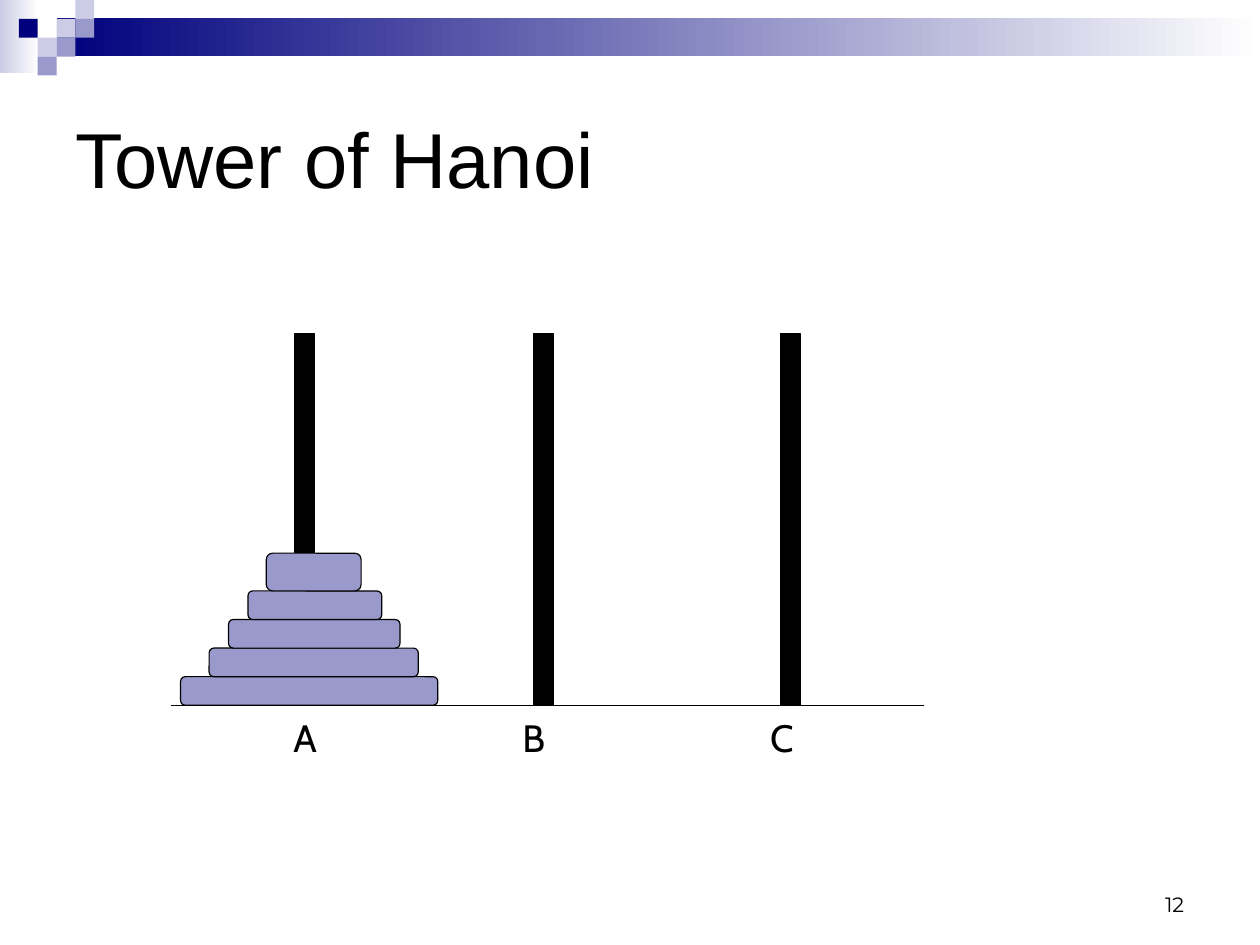
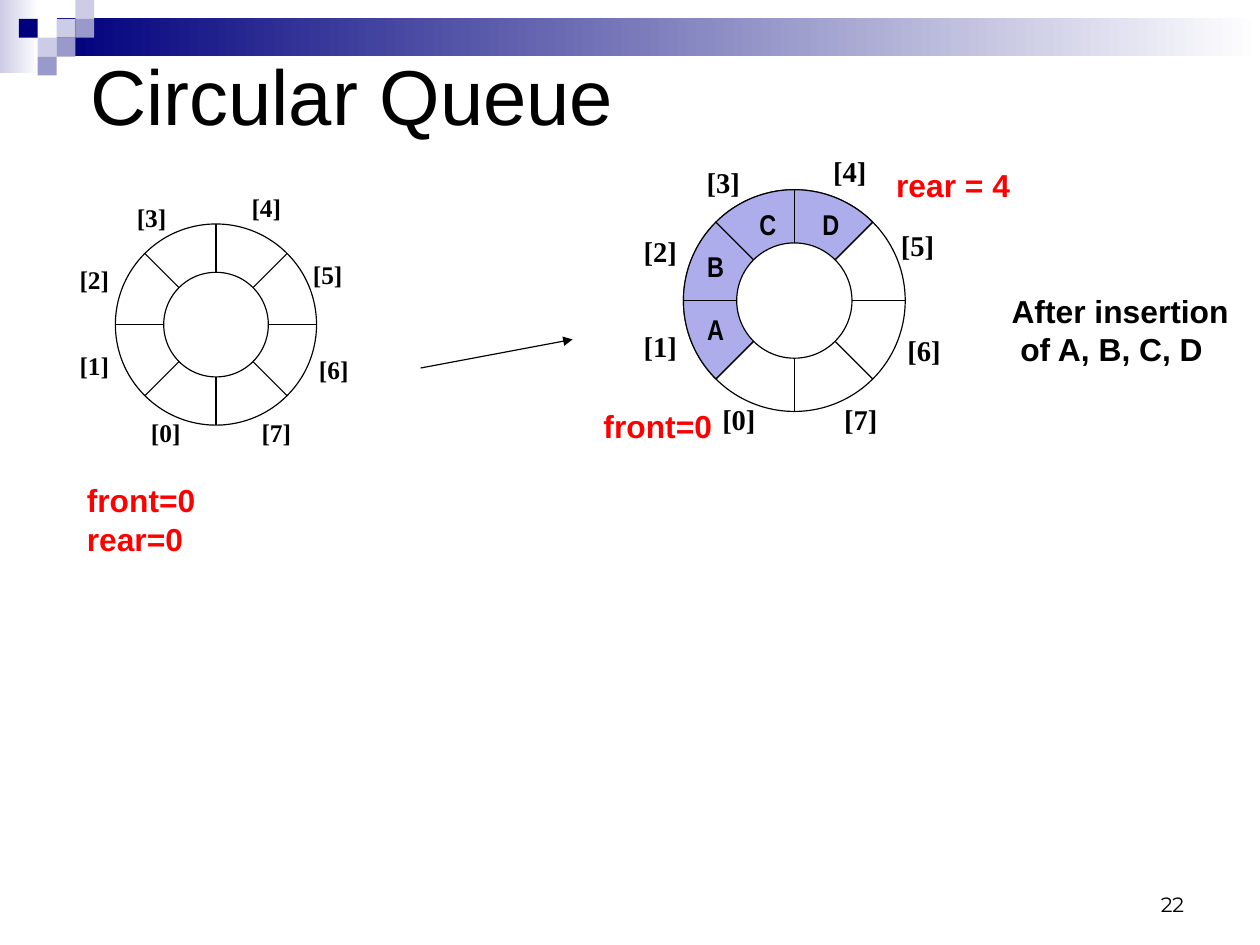
from math import cos, radians, sin

from lxml import etree
from pptx import Presentation
from pptx import util as u
from pptx.dml.color import RGBColor
from pptx.enum import shapes, text
from pptx.oxml import ns

BLACK = RGBColor(0, 0, 0)
WHITE = RGBColor(255, 255, 255)
RED = RGBColor(255, 0, 0)
NAVY = RGBColor(0x00, 0x00, 0x7D)
LAVENDER = RGBColor(0x99, 0x99, 0xCC)
PALE = RGBColor(0xCC, 0xCC, 0xE6)
VIOLET = RGBColor(0xAD, 0xAD, 0xEB)

SHAPE = shapes.MSO_SHAPE
LEFT, CENTER, RIGHT = text.PP_ALIGN.LEFT, text.PP_ALIGN.CENTER, text.PP_ALIGN.RIGHT
TOP, MIDDLE, BOTTOM = text.MSO_ANCHOR.TOP, text.MSO_ANCHOR.MIDDLE, text.MSO_ANCHOR.BOTTOM

SLIDE_WIDTH, SLIDE_HEIGHT = u.Cm(28), u.Cm(21)
UNIT = 0.66 / 4  # side of one header square
BAND_LEFT, BAND_TOP, BAND_HEIGHT = 0.5, 0.16, 0.33
HEADER_SQUARES = [  # column, row, colour
    (3, 1, PALE), (4, 0, PALE), (4, 1, LAVENDER), (2, 2, PALE),
    (1, 1, NAVY), (3, 2, LAVENDER), (2, 3, LAVENDER),
]

# Tower of Hanoi
GROUND, GROUND_ENDS = 6.17, (1.5, 8.08)
PEG_WIDTH, PEG_HEIGHT = 0.17, 3.25
PEGS = [("A", 2.58, 2.67), ("B", 4.67, 4.67), ("C", 6.83, 6.84)]  # name, left, label centre
DISKS = [  # left, width, height, from the ground up
    (1.58, 2.25, 0.25), (1.83, 1.83, 0.25), (2, 1.5, 0.25),
    (2.17, 1.17, 0.25), (2.33, 0.83, 0.33),
]

# Circular queue: offsets from the ring's centre, in radii
SLOTS = 8
INDEX_OFFSETS = [
    (-0.5, 1.07), (-1.21, 0.41), (-1.21, -0.45), (-0.64, -1.07),
    (0.5, -1.17), (1.11, -0.5), (1.17, 0.45), (0.6, 1.07),
]
ITEM_OFFSETS = {"A": (-0.71, 0.26), "B": (-0.71, -0.31), "C": (-0.24, -0.69), "D": (0.33, -0.69)}
RINGS = [
    dict(cx=1.89, cy=2.84, radius=0.88, size=16, items=""),
    dict(cx=6.95, cy=2.63, radius=0.97, size=18, items="ABCD"),
]
FIRST_ITEM_SLOT = 1
HOLE = 0.52  # share of the outer radius
NOTES = [  # lines, left, top, colour
    (["front=0", "rear=0"], 0.76, 4.21, RED),
    (["front=0"], 5.28, 3.56, RED),
    (["rear = 4"], 7.84, 1.45, RED),
    (["After insertion", " of A, B, C, D"], 8.85, 2.55, BLACK),
]


def add_shape(s, kind, left, top, width, height, fill, outlined=True):
    """Add a preset shape; a pair of colours as fill gives a left-to-right gradient."""
    sp = s.shapes.add_shape(kind, *map(u.Inches, (left, top, width, height)))
    sp.shadow.inherit = False
    if isinstance(fill, list):
        sp.fill.gradient()
        sp.fill.gradient_angle = 0
        for stop, position, color in zip(sp.fill.gradient_stops, (0, 1), fill):
            stop.position = position
            stop.color.rgb = color
    else:
        sp.fill.solid()
        sp.fill.fore_color.rgb = fill
    if outlined:
        sp.line.color.rgb = BLACK
        sp.line.width = u.Pt(0.75)
    else:
        sp.line.fill.background()
    return sp


def add_circle(s, cx, cy, radius, fill, kind=SHAPE.OVAL):
    return add_shape(s, kind, cx - radius, cy - radius, 2 * radius, 2 * radius, fill)


def add_line(s, x1, y1, x2, y2, arrow=False):
    line = s.shapes.add_connector(shapes.MSO_CONNECTOR.STRAIGHT,
                                  *map(u.Inches, (x1, y1, x2, y2)))
    line.line.color.rgb = BLACK
    line.line.width = u.Pt(0.75)
    if arrow:
        etree.SubElement(line.line._get_or_add_ln(), ns.qn("a:tailEnd"), type="triangle")
    etree.SubElement(line._element.spPr, ns.qn("a:effectLst"))


def add_text(s, lines, left, top, width, height, size, font="Arial", color=BLACK,
             bold=False, align=LEFT, anchor=TOP):
    tf = s.shapes.add_textbox(*map(u.Inches, (left, top, width, height))).text_frame
    tf.margin_left = tf.margin_right = tf.margin_top = tf.margin_bottom = 0
    tf.word_wrap = True
    tf.vertical_anchor = anchor
    for i, line in enumerate(lines):
        p = tf.paragraphs[0] if i == 0 else tf.add_paragraph()
        p.alignment = align
        r = p.add_run()
        r.text = line
        r.font.size, r.font.name, r.font.bold = u.Pt(size), font, bold
        r.font.color.rgb = color


def add_label(s, label, cx, cy, size, font, bold=True):
    """Add a short text centred on a point."""
    width, height = 0.5, 0.4
    add_text(s, [label], cx - width / 2, cy - height / 2, width, height, size, font,
             bold=bold, align=CENTER, anchor=MIDDLE)


def add_slide(prs, title, title_left, title_top, number):
    """Add a slide with header band, title and page number."""
    s = prs.slides.add_slide(prs.slide_layouts[6])
    add_shape(s, SHAPE.RECTANGLE, 0, 0, 0.34, 0.64, [PALE, WHITE], outlined=False)
    add_shape(s, SHAPE.RECTANGLE, BAND_LEFT, BAND_TOP, SLIDE_WIDTH.inches - BAND_LEFT,
              BAND_HEIGHT, [NAVY, WHITE], outlined=False)
    for column, row, color in HEADER_SQUARES:
        add_shape(s, SHAPE.RECTANGLE, column * UNIT, row * UNIT, UNIT, UNIT, color,
                  outlined=False)
    add_text(s, [str(number)], 8, 7.6, 2.36, 0.42, 13, "Montserrat",
             align=RIGHT, anchor=BOTTOM)
    add_text(s, [title], title_left, title_top, 9.7, 1.65, 49, anchor=MIDDLE)
    return s


def build_tower(prs):
    s = add_slide(prs, "Tower of Hanoi", 0.66, 0.55, 12)
    for name, left, label_x in PEGS:
        add_shape(s, SHAPE.RECTANGLE, left, GROUND - PEG_HEIGHT, PEG_WIDTH, PEG_HEIGHT, BLACK)
        add_label(s, name, label_x, GROUND + 0.28, 24, "Cabin", bold=False)
    add_line(s, GROUND_ENDS[0], GROUND, GROUND_ENDS[1], GROUND)
    top = GROUND
    for left, width, height in DISKS:
        top -= height
        add_shape(s, SHAPE.ROUNDED_RECTANGLE, left, top, width, height, LAVENDER)


def add_ring(s, cx, cy, radius, size, items):
    add_circle(s, cx, cy, radius, WHITE)
    step = 360 / SLOTS
    if items:
        start = 90 + FIRST_ITEM_SLOT * step
        pie = add_circle(s, cx, cy, radius, VIOLET, SHAPE.PIE)
        for i, angle in enumerate((start, start + len(items) * step)):
            pie.adjustments[i] = angle * 0.6  # 60000ths of a degree, scaled by 100000
    for i in range(SLOTS // 2):
        dx, dy = radius * cos(radians(i * step)), radius * sin(radians(i * step))
        add_line(s, cx - dx, cy - dy, cx + dx, cy + dy)
    add_circle(s, cx, cy, radius * HOLE, WHITE)
    for i, (dx, dy) in enumerate(INDEX_OFFSETS):
        add_label(s, f"[{i}]", cx + dx * radius, cy + dy * radius, size, "Times New Roman")
    for item in items:
        dx, dy = ITEM_OFFSETS[item]
        add_label(s, item, cx + dx * radius, cy + dy * radius, size, "Arial Narrow")


def build_queue(prs):
    s = add_slide(prs, "Circular Queue", 0.79, 0, 22)
    for ring in RINGS:
        add_ring(s, **ring)
    add_line(s, 3.68, 3.22, 5.01, 2.97, arrow=True)
    for lines, left, top, color in NOTES:
        add_text(s, lines, left, top, 2.1, 0.33 * len(lines), 20, color=color, bold=True)


def main():
    prs = Presentation()
    prs.slide_width, prs.slide_height = SLIDE_WIDTH, SLIDE_HEIGHT
    build_tower(prs)
    build_queue(prs)
    prs.save("out.pptx")


if __name__ == "__main__":
    main()
